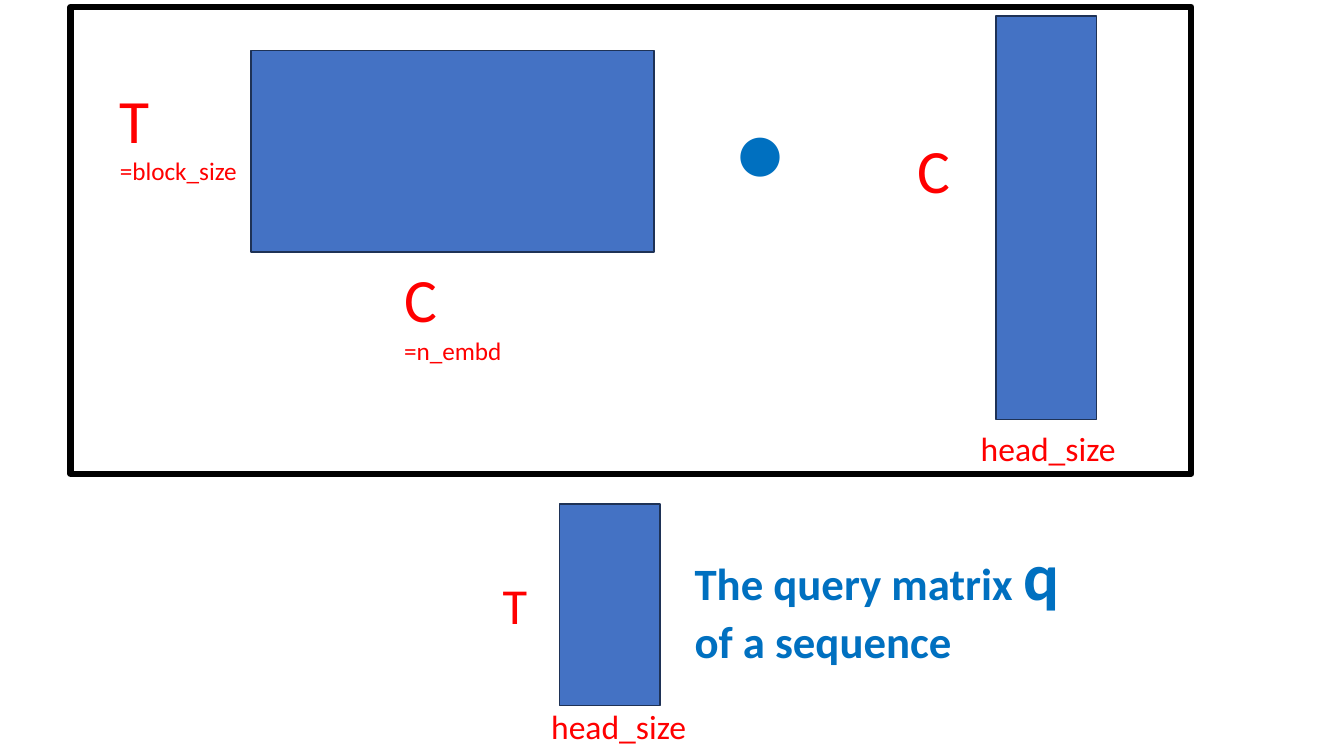
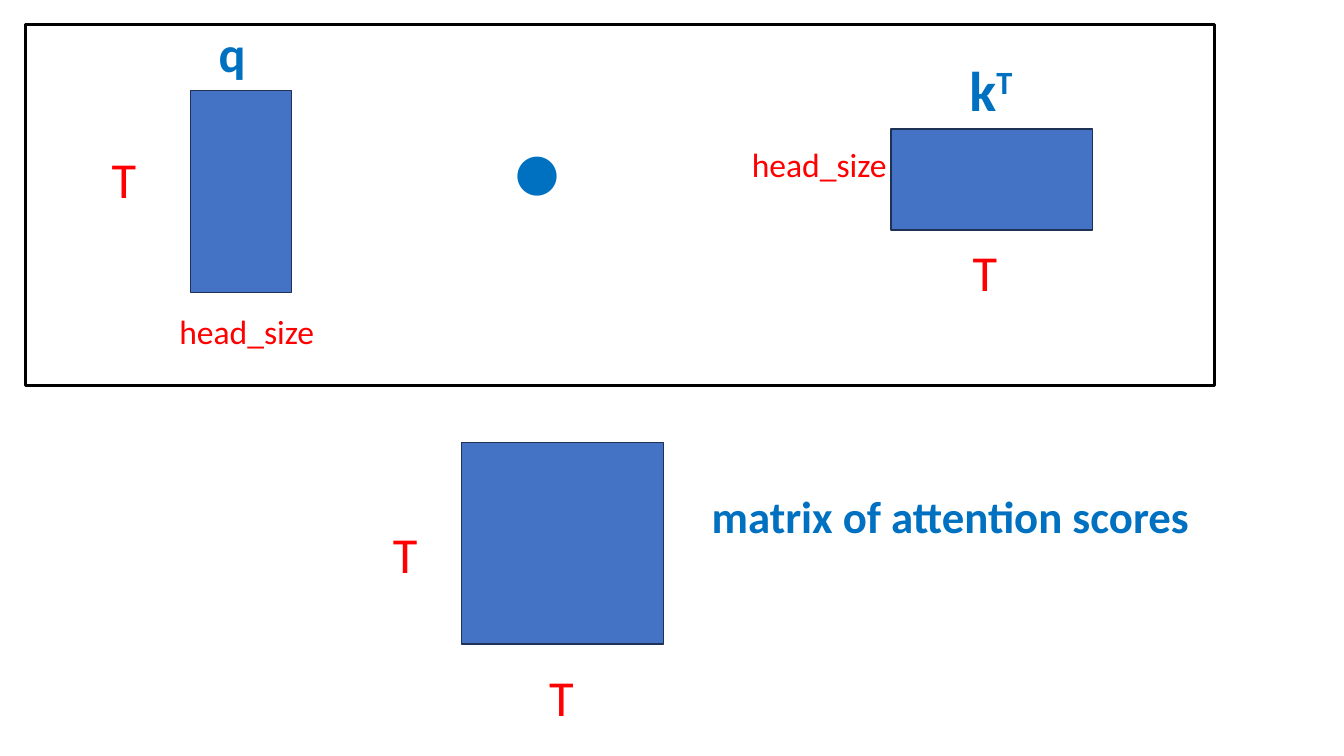
import pptx
import pptx.util
import pptx.dml.color
import pptx.enum.shapes
import pptx.enum.text

Pt = pptx.util.Pt
COLORS = {"matrix": "4472C4", "edge": "1E3256", "frame": "000000",
          "size": "FF0000", "name": "0070C0"}
FONT = "Calibri"
LINE_HEIGHT, INSET = 1.22, 3.6

# Lengths that stand for the matrix dimensions
DIMENSIONS = {"T": 144, "C": 288, "head_size": 72}

# Matrices: left, top, rows, columns
# Labels: left, top, width, paragraphs of (text, size[, baseline]) runs
SLIDES = [
    {
        "frame": (50.4, 5, 800.6, 333.4, 4.5),
        "matrices": [(179.3, 36, "T", "C"),
                     (711.4, 11.5, "C", "head_size"),
                     (399.6, 360, "T", "head_size")],
        "sizes": [(78.5, 54.7, 240, [[("T", 44)], [("=block_size", 18)]]),
                  (281.5, 182.9, 95, [[("C", 44)], [("=n_embd", 18)]]),
                  (693.4, 302.4, 140, [[("head_size", 24)]]),
                  (648, 90.7, 52.6, [[("C", 44)]]),
                  (352, 406.8, 86, [[("T", 36)]]),
                  (386.6, 500.4, 240, [[("head_size", 24)]])],
        "names": [],
        "dot": (519.8, 61.2),
        "title": (488.9, 377.3, 303, [[("The query matrix ", 32), ("q", 48)],
                                      [("of a sequence", 32)]]),
    },
    {
        "frame": (18, 17.3, 849.6, 257.8, 2.25),
        "matrices": [(136.1, 64.8, "T", "head_size"),
                     (636.5, 92.2, "head_size", "T"),
                     (329.8, 316, "T", "T")],
        "sizes": [(72.7, 102.2, 56, [[("T", 36)]]),
                  (121, 218.2, 181, [[("head_size", 24)]]),
                  (529.9, 99.4, 116.6, [[("head_size", 24)]]),
                  (687.6, 168.5, 240, [[("T", 36)]]),
                  (385.2, 472.3, 54, [[("T", 36)]]),
                  (273.6, 370, 64, [[("T", 36)]])],
        "names": [(149, 12.2, 46.8, [[("q", 36)]]),
                  (685.4, 36, 65.5, [[("k", 40), ("T", 40, 30000)]])],
        "dot": (360.7, 74.9),
        "title": (501.1, 345.6, 381, [[("matrix of attention scores", 32)]]),
    },
]


def rgb(name):
    return pptx.dml.color.RGBColor.from_string(COLORS[name])


def write(box, paragraphs, color, bold, wrap=True):
    """Fill a box with paragraphs of runs, anchored at the top left."""
    frame = box.text_frame
    frame.word_wrap = wrap
    frame.auto_size = pptx.enum.text.MSO_AUTO_SIZE.SHAPE_TO_FIT_TEXT
    frame.vertical_anchor = pptx.enum.text.MSO_ANCHOR.TOP
    for index, runs in enumerate(paragraphs):
        paragraph = frame.add_paragraph() if index else frame.paragraphs[0]
        paragraph.alignment = pptx.enum.text.PP_ALIGN.LEFT
        for text, size, *baseline in runs:
            run = paragraph.add_run()
            run.text = text
            run.font.name, run.font.size, run.font.bold = FONT, Pt(size), bold
            run.font.color.rgb = rgb(color)
            if baseline:
                run._r.get_or_add_rPr().set("baseline", str(baseline[0]))


def text_height(paragraphs):
    tallest = sum(max(run[1] for run in runs) for runs in paragraphs)
    return tallest * LINE_HEIGHT + 2 * INSET


def add_label(slide, left, top, width, paragraphs, color, bold=False, wrap=True):
    box = slide.shapes.add_textbox(Pt(left), Pt(top), Pt(width),
                                   Pt(text_height(paragraphs)))
    write(box, paragraphs, color, bold, wrap)


def place_title(slide, left, top, width, paragraphs):
    title = slide.shapes.title
    title.left, title.top, title.width = Pt(left), Pt(top), Pt(width)
    title.height = Pt(text_height(paragraphs))
    write(title, paragraphs, "name", True)


def add_rectangle(slide, left, top, width, height, line, line_width, fill=None):
    rectangle = slide.shapes.add_shape(
        pptx.enum.shapes.MSO_SHAPE.RECTANGLE,
        Pt(left), Pt(top), Pt(width), Pt(height))
    rectangle.shadow.inherit = False
    rectangle.line.color.rgb = rgb(line)
    rectangle.line.width = Pt(line_width)
    if fill:
        rectangle.fill.solid()
        rectangle.fill.fore_color.rgb = rgb(fill)
    else:
        rectangle.fill.background()


def build_slide(deck, content):
    slide = deck.slides.add_slide(deck.slide_layouts.get_by_name("Title Only"))
    place_title(slide, *content["title"])

    # Product frame and matrices
    *area, weight = content["frame"]
    add_rectangle(slide, *area, "frame", weight)
    for left, top, rows, columns in content["matrices"]:
        add_rectangle(slide, left, top, DIMENSIONS[columns], DIMENSIONS[rows],
                      "edge", 1, "matrix")

    # Dimension labels, matrix names and product dot
    for label in content["sizes"]:
        add_label(slide, *label, "size")
    for label in content["names"]:
        add_label(slide, *label, "name", bold=True)
    add_label(slide, *content["dot"], 47.5, [[("•", 66)]], "name",
              bold=True, wrap=False)


def main():
    deck = pptx.Presentation()
    deck.slide_width, deck.slide_height = Pt(960), Pt(540)
    for content in SLIDES:
        build_slide(deck, content)
    deck.save("out.pptx")


if __name__ == "__main__":
    main()
